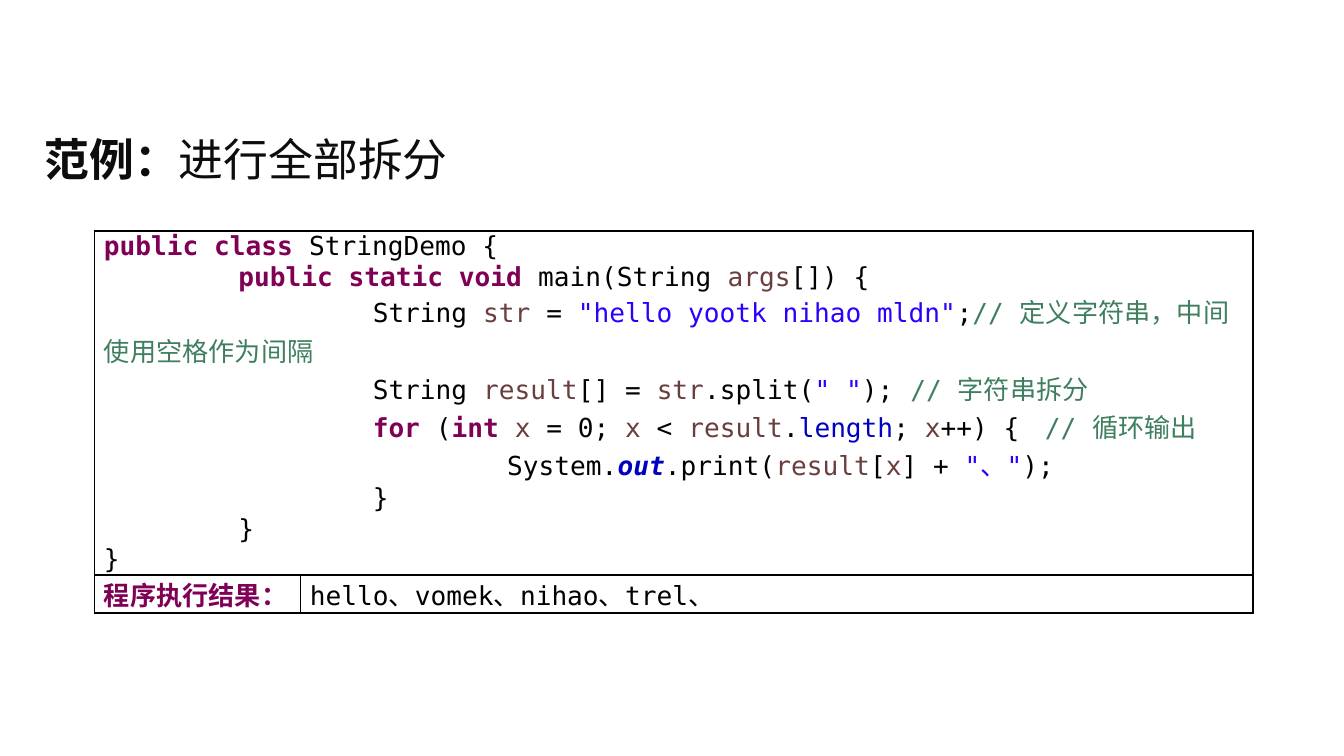
from lxml.etree import SubElement
from pptx import Presentation
from pptx.dml.color import RGBColor
from pptx.enum.text import MSO_ANCHOR, PP_ALIGN
from pptx.oxml import parse_xml
from pptx.oxml.ns import nsdecls, qn
from pptx.util import Pt

MONO, SANS = "DejaVu Sans Mono", "Noto Sans CJK SC"
KINDS = {
    "": {"color": "000000"},
    "key": {"color": "7F0055", "bold": True},
    "var": {"color": "6A3E3E"},
    "str": {"color": "2A00FF"},
    "note": {"color": "3F7F5F"},
    "field": {"color": "0000C0"},
    "static": {"color": "0000C0", "bold": True, "italic": True},
}
TITLE = [("范例：", {"bold": True}), ("进行全部拆分", {})]
CODE = [
    [("public class ", "key"), ("StringDemo {", "")],
    [("\t", ""), ("public static void", "key"), (" main(String ", ""),
     ("args", "var"), ("[]) {", "")],
    [("\t\tString ", ""), ("str", "var"), (" = ", ""),
     ('"hello yootk nihao mldn"', "str"), (";", ""),
     ("// 定义字符串，中间使用空格作为间隔", "note")],
    [("\t\tString ", ""), ("result", "var"), ("[] = ", ""), ("str", "var"),
     (".split(", ""), ('" "', "str"), (");\t", ""), ("// 字符串拆分", "note")],
    [("\t\t", ""), ("for", "key"), (" (", ""), ("int ", "key"), ("x", "var"),
     (" = 0; ", ""), ("x", "var"), (" < ", ""), ("result", "var"), (".", ""),
     ("length", "field"), ("; ", ""), ("x", "var"), ("++) {\t", ""),
     ("// 循环输出", "note")],
    [("\t\t\tSystem.", ""), ("out", "static"), (".print(", ""),
     ("result", "var"), ("[", ""), ("x", "var"), ("] + ", ""),
     ('"、"', "str"), (");", "")],
    [("\t\t}", "")],
    [("\t}", "")],
    [("}", "")],
]
LABEL = [[("程序执行结果：", "key")]]
RESULT = [[("hello、vomek、nihao、trel、", "")]]
COLS, ROWS = (110.3, 510.4), (184.3, 20.3)
TAB, STOPS = 72, 7


def paint(font, color):
    font.color.rgb = RGBColor.from_string(color)


def write(para, text, size=14, face=MONO, color="000000", bold=False, italic=False):
    run = para.add_run()
    run.text = text
    font = run.font
    font.size, font.name, font.bold, font.italic = Pt(size), face, bold, italic
    paint(font, color)
    SubElement(font._element, qn("a:ea")).set("typeface", SANS)


def frame(cell):
    cell.fill.background()
    props = cell._tc.get_or_add_tcPr()
    for at, side in enumerate("LRTB"):
        props.insert(at, parse_xml(
            f'<a:ln{side} {nsdecls("a")} w="{Pt(1)}"><a:solidFill>'
            f'<a:srgbClr val="000000"/></a:solidFill></a:ln{side}>'))


def fill(cell, lines):
    cell.margin_left = cell.margin_right = Pt(5)
    cell.margin_top = cell.margin_bottom = 0
    for i, line in enumerate(lines):
        body = cell.text_frame
        para = body.add_paragraph() if i else body.paragraphs[0]
        tabs = SubElement(para._p.get_or_add_pPr(), qn("a:tabLst"))
        for n in range(1, STOPS + 1):
            stop = SubElement(tabs, qn("a:tab"))
            stop.set("pos", str(Pt(TAB * n)))
            stop.set("algn", "l")
        for text, kind in line:
            write(para, text, **KINDS[kind])


def main():
    """Build the slide with its title, code listing and program result."""
    deck = Presentation()
    deck.slide_width, deck.slide_height = Pt(720), Pt(405)
    slide = deck.slides.add_slide(deck.slide_layouts[5])

    title = slide.shapes.title
    title.left, title.top, title.width, title.height = map(Pt, (16.6, 62, 686, 46))
    title.text_frame.vertical_anchor = MSO_ANCHOR.MIDDLE
    para = title.text_frame.paragraphs[0]
    para.alignment = PP_ALIGN.LEFT
    for text, style in TITLE:
        write(para, text, size=24, face=SANS, color="0D0D0D", **style)

    table = slide.shapes.add_table(
        2, 2, Pt(50.7), Pt(123.8), Pt(sum(COLS)), Pt(sum(ROWS))).table
    table.first_row = table.horz_banding = False
    for col, width in zip(table.columns, COLS):
        col.width = Pt(width)
    for row, height in zip(table.rows, ROWS):
        row.height = Pt(height)
    table.cell(0, 0).merge(table.cell(0, 1))
    for cell in table.iter_cells():
        frame(cell)
    fill(table.cell(0, 0), CODE)
    fill(table.cell(1, 0), LABEL)
    fill(table.cell(1, 1), RESULT)
    deck.save("out.pptx")


if __name__ == "__main__":
    main()
